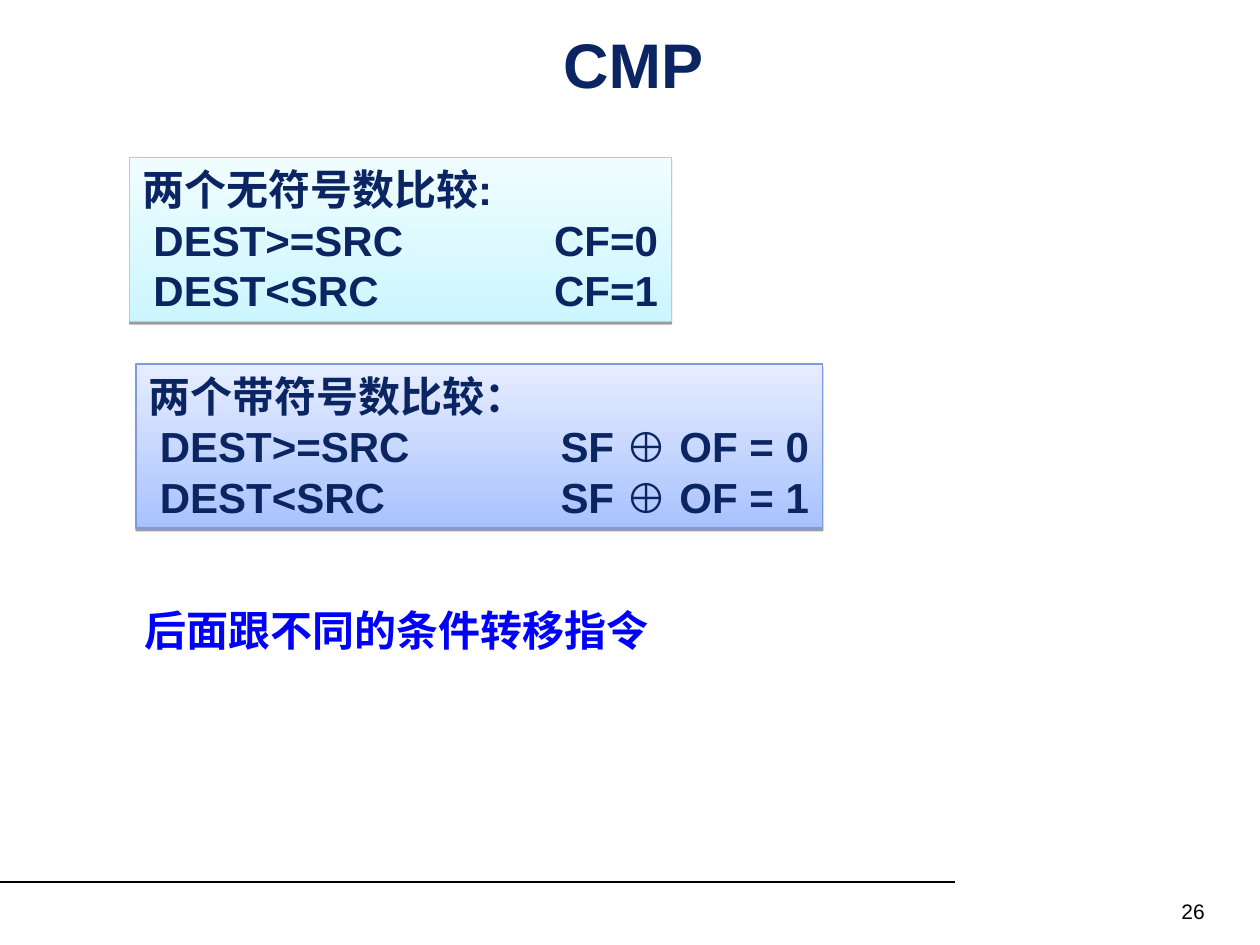
"""Build the CMP slide: flag results of unsigned and signed comparisons."""
from lxml import etree
from pptx import Presentation
from pptx.dml.color import RGBColor
from pptx.enum.shapes import MSO_CONNECTOR, MSO_SHAPE
from pptx.enum.text import MSO_ANCHOR, PP_ALIGN
from pptx.oxml.ns import qn
from pptx.util import Inches, Pt

STRAIGHT = MSO_CONNECTOR.STRAIGHT
RECTANGLE = MSO_SHAPE.RECTANGLE
MIDDLE, TOP = MSO_ANCHOR.MIDDLE, MSO_ANCHOR.TOP
LEFT, CENTER, RIGHT = PP_ALIGN.LEFT, PP_ALIGN.CENTER, PP_ALIGN.RIGHT

NAVY = RGBColor(0x0A, 0x25, 0x62)
BLUE = RGBColor(0x00, 0x00, 0xFF)
BLACK = RGBColor(0x00, 0x00, 0x00)
CYAN, PALE_CYAN = RGBColor(0xCC, 0xF6, 0xFF), RGBColor(0xF0, 0xFD, 0xFF)
CYAN_EDGE = RGBColor(0xAD, 0xD1, 0xD8)
PERIWINKLE, PALE_BLUE = RGBColor(0xA9, 0xC2, 0xFF), RGBColor(0xE6, 0xED, 0xFF)
BLUE_EDGE = RGBColor(0x7E, 0x99, 0xE0)

COMPARISONS = [
    ("两个无符号数比较:",
     [("DEST>=SRC", "CF=0"), ("DEST<SRC", "CF=1")],
     (1.03, 1.25, 4.3, 1.3), (CYAN, PALE_CYAN), CYAN_EDGE),
    ("两个带符号数比较：",
     [("DEST>=SRC", "SF ⊕ OF = 0"), ("DEST<SRC", "SF ⊕ OF = 1")],
     (1.08, 2.89, 5.45, 1.3), (PERIWINKLE, PALE_BLUE), BLUE_EDGE),
]
LABELS = [
    ("CMP", (0.5, 0.25, 9.05, 0.5), 36, NAVY, True, CENTER, MIDDLE),
    ("26", (7.33, 7.08, 2.33, 0.27), 12, BLACK, False, RIGHT, TOP),
    ("后面跟不同的条件转移指令", (1.05, 4.75, 6.33, 0.5), 24, BLUE, True, LEFT, TOP),
]
COLUMN_STOPS = (0.09, 3.27)


def place(box):
    return [Inches(value) for value in box]


def style(paragraph, size, color, bold, align):
    paragraph.alignment = align
    paragraph.font.name = "Arial"
    paragraph.font.size = Pt(size)
    paragraph.font.bold = bold
    paragraph.font.color.rgb = color


def set_columns(paragraph):
    stops = etree.SubElement(paragraph._p.get_or_add_pPr(), qn("a:tabLst"))
    for stop in COLUMN_STOPS:
        etree.SubElement(stops, qn("a:tab"), pos=str(Inches(stop)), algn="l")


def add_effects(shape):
    return etree.SubElement(shape._element.spPr, qn("a:effectLst"))


def add_label(slide, text, box, size, color, bold, align, anchor):
    frame = slide.shapes.add_textbox(*place(box)).text_frame
    frame.word_wrap = True
    frame.vertical_anchor = anchor
    frame.text = text
    style(frame.paragraphs[0], size, color, bold, align)


def add_comparison(slide, heading, cases, box, gradient, edge):
    panel = slide.shapes.add_shape(RECTANGLE, *place(box))
    panel.fill.gradient()
    panel.fill.gradient_angle = 90
    for stop, color in zip(panel.fill.gradient_stops, gradient):
        stop.color.rgb = color
    panel.line.color.rgb = edge
    panel.line.width = Pt(0.75)
    shadow = etree.SubElement(add_effects(panel), qn("a:outerShdw"), blurRad="0",
                              dist=str(Pt(1.6)), dir="5400000", rotWithShape="0")
    tint = etree.SubElement(shadow, qn("a:srgbClr"), val=str(BLACK))
    etree.SubElement(tint, qn("a:alpha"), val="38000")

    frame = panel.text_frame
    frame.word_wrap = True
    frame.margin_right = Inches(0.02)
    frame.vertical_anchor = TOP
    rows = [f"\t{condition}\t{flags}" for condition, flags in cases]
    frame.text = "\n".join([heading, *rows])
    for paragraph in frame.paragraphs:
        set_columns(paragraph)
        style(paragraph, 24, NAVY, True, LEFT)


def main():
    deck = Presentation()
    deck.slide_width, deck.slide_height = Inches(10), Inches(7.5)
    slide = deck.slides.add_slide(deck.slide_layouts[6])
    footer_rule = slide.shapes.add_connector(STRAIGHT, *place((0, 7, 7.58, 7)))
    footer_rule.line.color.rgb = BLACK
    footer_rule.line.width = Pt(0.75)
    add_effects(footer_rule)
    for comparison in COMPARISONS:
        add_comparison(slide, *comparison)
    for label in LABELS:
        add_label(slide, *label)
    deck.save("out.pptx")


if __name__ == "__main__":
    main()
